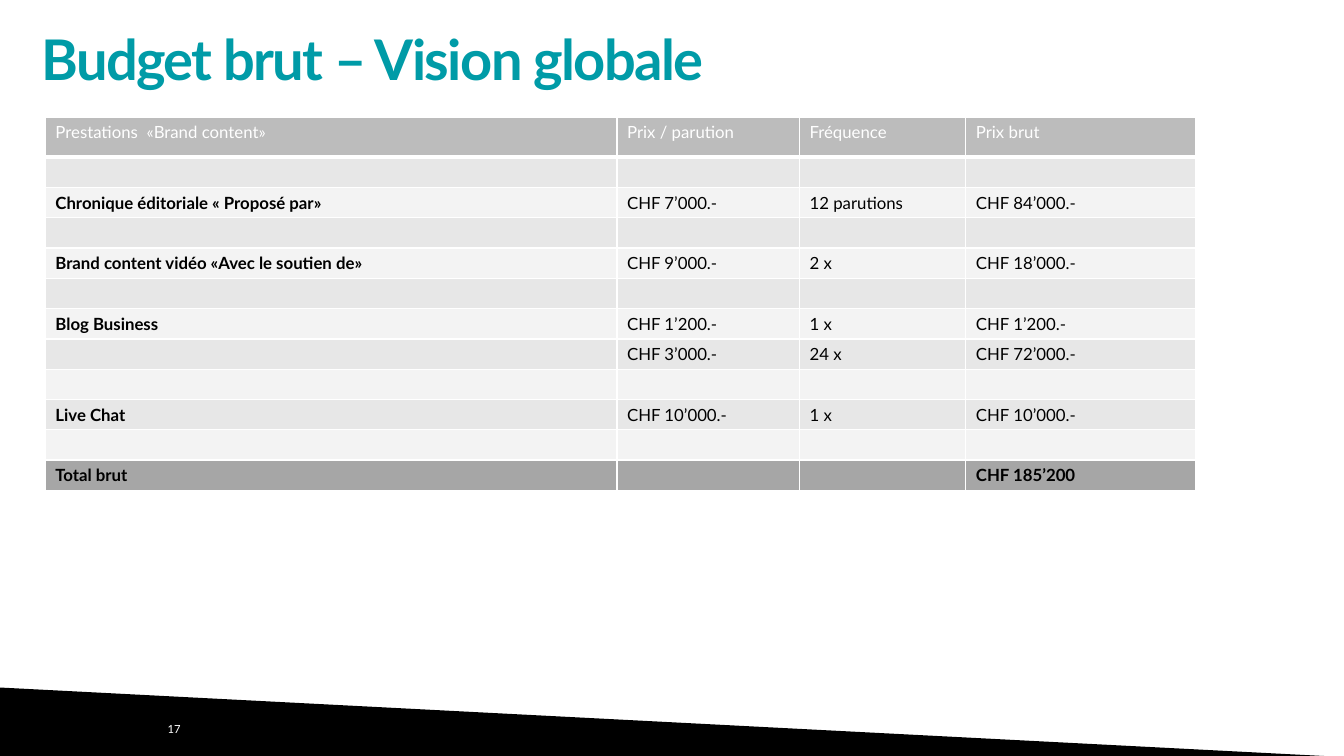
from lxml import etree
from pptx import Presentation
from pptx.dml.color import RGBColor
from pptx.enum.shapes import MSO_SHAPE
from pptx.enum.text import MSO_ANCHOR, PP_ALIGN
from pptx.oxml.ns import qn
from pptx.util import Inches, Pt

TRIANGLE = MSO_SHAPE.RIGHT_TRIANGLE
MIDDLE = MSO_ANCHOR.MIDDLE
LEFT, RIGHT = PP_ALIGN.LEFT, PP_ALIGN.RIGHT
TITLE_ONLY = 5

TITLE = "Budget brut – Vision globale"
PAGE_NUMBER = "17"
HEADER = ("Prestations  «Brand content»", "Prix / parution", "Fréquence", "Prix brut")
EMPTY = ("", "", "", "")
BODY = [
    EMPTY,
    ("Chronique éditoriale « Proposé par»", "CHF 7’000.-", "12 parutions", "CHF 84’000.-"),
    EMPTY,
    ("Brand content vidéo «Avec le soutien de»", "CHF 9’000.-", "2 x", "CHF 18’000.-"),
    EMPTY,
    ("Blog Business", "CHF 1’200.-", "1 x", "CHF 1’200.-"),
    ("", "CHF 3’000.-", "24 x", "CHF 72’000.-"),
    EMPTY,
    ("Live Chat", "CHF 10’000.-", "1 x", "CHF 10’000.-"),
    EMPTY,
]
TOTAL = ("Total brut", "", "", "CHF 185’200")

COLUMN_WIDTHS = (5.67, 1.81, 1.65, 2.28)
HEADER_HEIGHT, ROW_HEIGHT = 0.4, 0.3

THEME = {
    "font": "Lato",
    "teal": "009BA7", "white": "FFFFFF", "black": "000000",
    "header": "BCBCBC", "bands": ("E7E7E7", "F3F3F3"), "total": "A6A6A6",
    "title_size": 40, "table_size": 12, "number_size": 8,
    "border": 1, "header_border": 3,
}


def colour(name):
    return RGBColor.from_string(THEME[name])


def write(para, text, size, color, bold=False):
    span = para.add_run()
    span.text = text
    values = {"name": THEME["font"], "size": Pt(THEME[size]), "bold": bold}
    for name, value in values.items():
        setattr(span.font, name, value)
    span.font.color.rgb = colour(color)
    return span


def place(shape, left, top, width, height):
    values = {"left": left, "top": top, "width": width, "height": height}
    for name, value in values.items():
        setattr(shape, name, Inches(value))


def add_border(cell, side, points):
    line = etree.SubElement(cell._tc.get_or_add_tcPr(), qn(f"a:ln{side}"),
                            w=str(Pt(points)))
    fill = etree.SubElement(line, qn("a:solidFill"))
    etree.SubElement(fill, qn("a:srgbClr"), val=THEME["white"])


def fill_cell(cell, text, fill, color, bold, top, bottom):
    for side, points in (("L", THEME["border"]), ("R", THEME["border"]),
                         ("T", top), ("B", bottom)):
        add_border(cell, side, points)
    cell.fill.solid()
    cell.fill.fore_color.rgb = RGBColor.from_string(fill)
    para = cell.text_frame.paragraphs[0]
    if text:
        write(para, text, "table_size", color, bold)
    else:
        # The end mark carries the type size that keeps an empty row low.
        etree.SubElement(para._p, qn("a:endParaRPr"), sz=str(THEME["table_size"] * 100))


def add_budget(page):
    rows = [HEADER, *BODY, TOTAL]
    last = len(rows) - 1
    frame = page.shapes.add_table(
        len(rows), len(HEADER), Inches(0.45), Inches(1.16),
        Inches(sum(COLUMN_WIDTHS)), Inches(HEADER_HEIGHT + last * ROW_HEIGHT))
    table = frame.table
    table.first_row = table.horz_banding = False
    for column, width in zip(table.columns, COLUMN_WIDTHS):
        column.width = Inches(width)
    for r, texts in enumerate(rows):
        is_header, is_total = r == 0, r == last
        table.rows[r].height = Inches(HEADER_HEIGHT if is_header else ROW_HEIGHT)
        fill = THEME["bands"][(r - 1) % 2]
        if is_header or is_total:
            fill = THEME["header" if is_header else "total"]
        top = THEME["header_border" if r == 1 else "border"]
        bottom = THEME["header_border" if is_header else "border"]
        for c, text in enumerate(texts):
            bold = is_total or (c == 0 and not is_header)
            fill_cell(table.cell(r, c), text, fill,
                      "white" if is_header else "black", bold, top, bottom)


def add_footer(page):
    wedge = page.shapes.add_shape(TRIANGLE, Inches(-0.01), Inches(6.82),
                                  Inches(13.34), Inches(0.69))
    wedge.shadow.inherit = False
    wedge.fill.solid()
    wedge.fill.fore_color.rgb = colour("black")
    wedge.line.fill.background()
    box = page.shapes.add_textbox(Inches(1.38), Inches(7.03), Inches(0.51), Inches(0.4))
    box.text_frame.word_wrap = True
    box.text_frame.vertical_anchor = MIDDLE
    para = box.text_frame.paragraphs[0]
    para.alignment = RIGHT
    write(para, PAGE_NUMBER, "number_size", "white")


def add_title(page):
    title = page.shapes.title
    place(title, 0.29, 0.21, 12.46, 0.81)
    frame = title.text_frame
    frame.word_wrap = True
    frame.vertical_anchor = MIDDLE
    for side in ("left", "top", "right", "bottom"):
        setattr(frame, f"margin_{side}", Inches(0.12))
    para = frame.paragraphs[0]
    para.alignment = LEFT
    para.line_spacing = 0.9
    span = write(para, TITLE, "title_size", "teal", True)
    span._r.get_or_add_rPr().set("spc", "-110")


def main():
    deck = Presentation()
    deck.slide_width, deck.slide_height = Inches(13.33), Inches(7.5)
    page = deck.slides.add_slide(deck.slide_layouts[TITLE_ONLY])
    add_footer(page)
    add_title(page)
    add_budget(page)
    deck.save("out.pptx")


if __name__ == "__main__":
    main()
